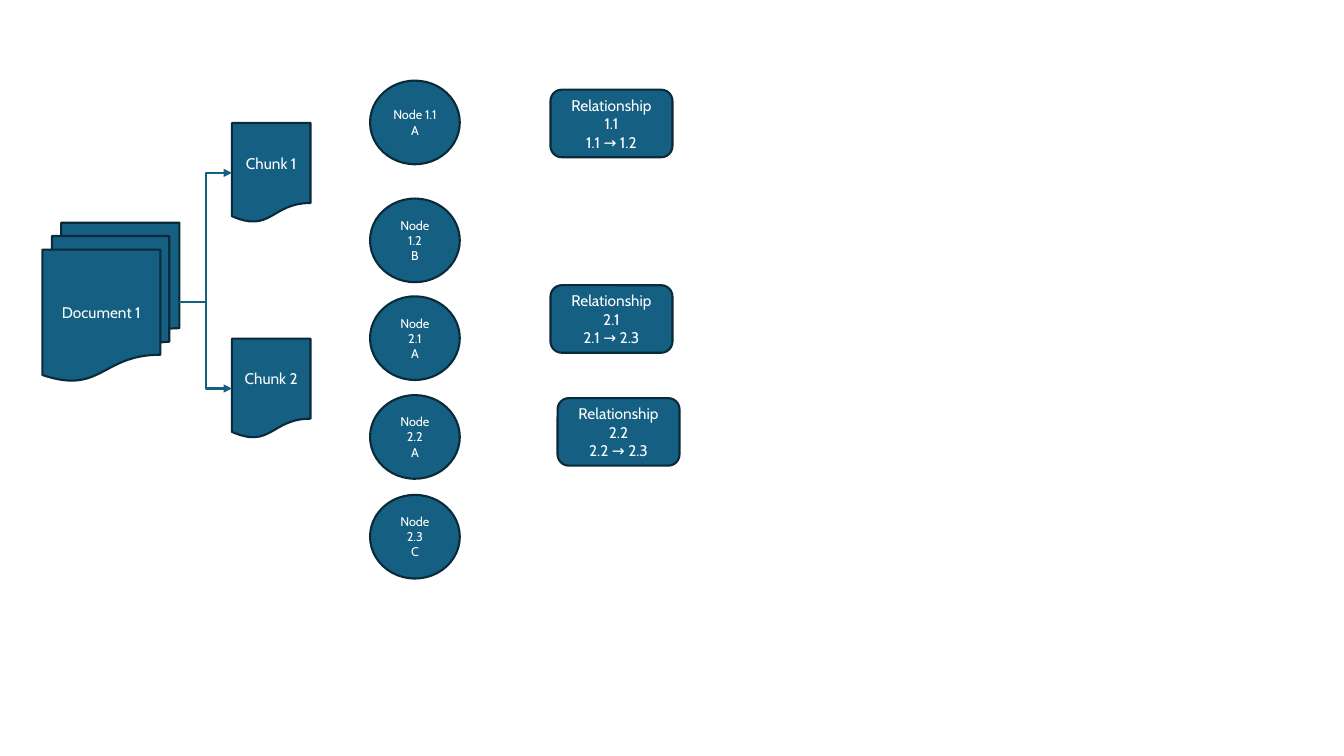
from dataclasses import dataclass

from lxml import etree
from pptx import Presentation
from pptx.dml.color import RGBColor
from pptx.enum import shapes, text
from pptx.oxml import ns
from pptx.util import Inches, Pt


@dataclass(frozen=True)
class Theme:
    fill: RGBColor = RGBColor(0x15, 0x60, 0x82)
    outline: RGBColor = RGBColor(0x09, 0x2A, 0x39)
    label: RGBColor = RGBColor(0xFF, 0xFF, 0xFF)
    font: str = "Cabin"
    label_size: Pt = Pt(11)
    node_size: Pt = Pt(9)
    line_width: Pt = Pt(1.5)


THEME = Theme()
KIND = shapes.MSO_SHAPE

CHUNKS = [("Chunk 1", 1.22), ("Chunk 2", 3.36)]
NODES = [
    ("Node 1.1", "A", 0.8),
    ("Node 1.2", "B", 1.97),
    ("Node 2.1", "A", 2.94),
    ("Node 2.2", "A", 3.92),
    ("Node 2.3", "C", 4.91),
]
RELATIONSHIPS = [
    ("Relationship 1.1", "1.1 → 1.2", 5.46, 0.89),
    ("Relationship 2.1", "2.1 → 2.3", 5.46, 2.83),
    ("Relationship 2.2", "2.2 → 2.3", 5.53, 3.95),
]


def add_box(page, kind, box, lines, size=THEME.label_size):
    """Add a filled shape at box (left, top, width, height) with centred lines."""
    shape = page.shapes.add_shape(kind, *map(Inches, box))
    shape.shadow.inherit = False
    shape.fill.solid()
    shape.fill.fore_color.rgb = THEME.fill
    shape.line.color.rgb = THEME.outline
    shape.line.width = THEME.line_width
    frame = shape.text_frame
    frame.word_wrap = True
    frame.vertical_anchor = text.MSO_ANCHOR.MIDDLE
    frame.text = "\n".join(lines)
    for para in frame.paragraphs:
        para.alignment = text.PP_ALIGN.CENTER
        for span in para.runs:
            for name, value in {"name": THEME.font, "size": size}.items():
                setattr(span.font, name, value)
            span.font.color.rgb = THEME.label
    return shape


def add_elbow_arrow(page, source, target):
    """Join the right side of source to the left side of target."""
    arrow = page.shapes.add_connector(shapes.MSO_CONNECTOR.ELBOW, 0, 0, 0, 0)
    arrow.begin_connect(source, 3)
    arrow.end_connect(target, 1)
    arrow.line.color.rgb = THEME.fill
    arrow.line.width = THEME.line_width
    properties = arrow.element.spPr
    etree.SubElement(properties.find(ns.qn("a:ln")), ns.qn("a:tailEnd"), type="triangle")
    etree.SubElement(properties, ns.qn("a:effectLst"))


def add_documents(page, left, top):
    return add_box(page, KIND.FLOWCHART_MULTIDOCUMENT, (left, top, 1.36, 1.57), ["Document 1"])


def add_chunks(page, left, documents):
    for label, top in CHUNKS:
        chunk = add_box(page, KIND.FLOWCHART_DOCUMENT, (left, top, 0.78, 0.99), [label])
        add_elbow_arrow(page, documents, chunk)


def add_nodes(page, left):
    for name, group, top in NODES:
        add_box(page, KIND.OVAL, (left, top, 0.89, 0.83), [name, group], THEME.node_size)


def add_relationships(page):
    for name, link, left, top in RELATIONSHIPS:
        add_box(page, KIND.ROUNDED_RECTANGLE, (left, top, 1.21, 0.67), [name, link])


def main():
    deck = Presentation()
    deck.slide_width, deck.slide_height = Inches(13.33), Inches(7.5)
    page = deck.slides.add_slide(deck.slide_layouts[6])
    documents = add_documents(page, 0.42, 2.21)
    add_chunks(page, 2.3, documents)
    add_nodes(page, 3.67)
    add_relationships(page)
    deck.save("out.pptx")


if __name__ == "__main__":
    main()
